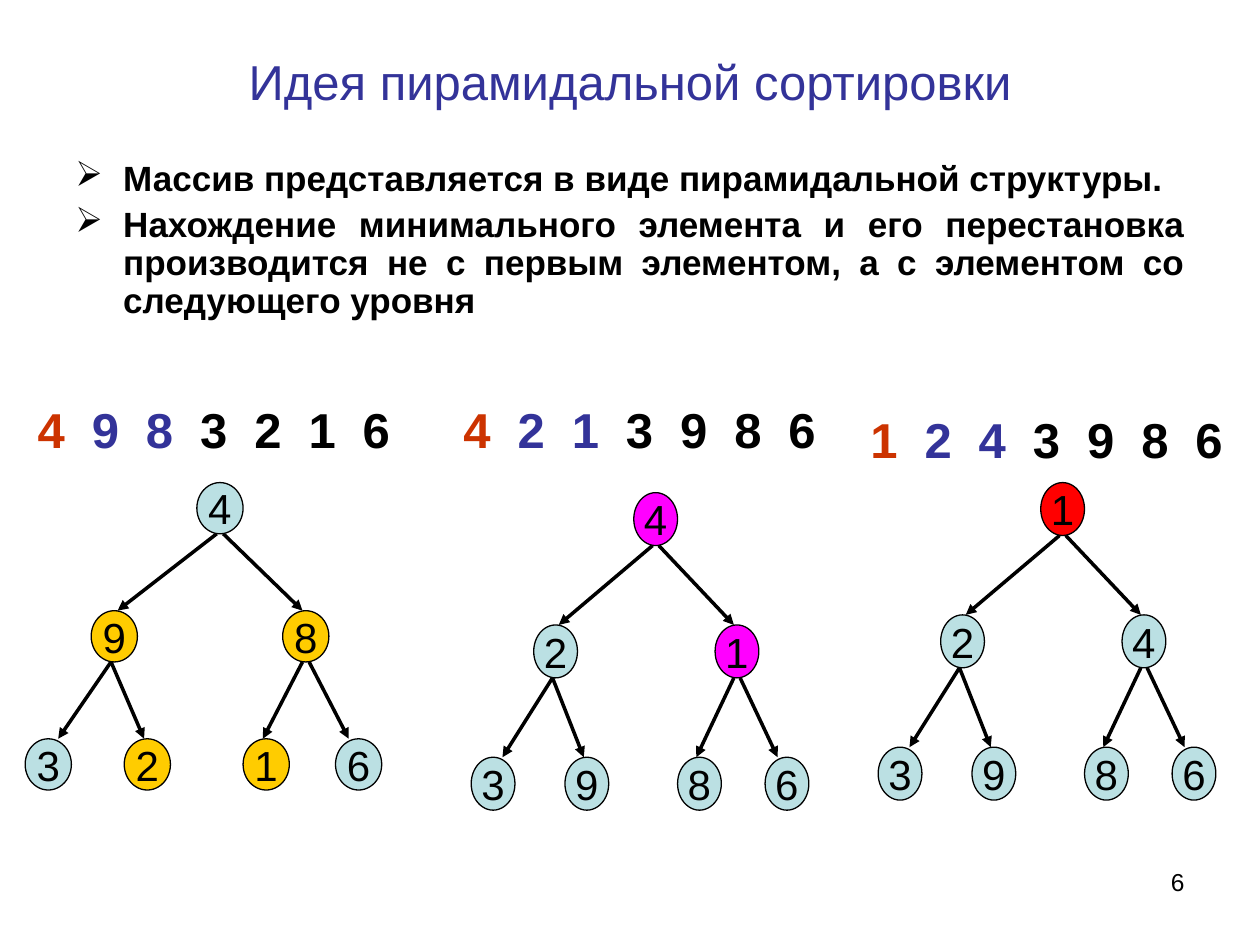
from lxml import etree
from pptx import Presentation
from pptx.dml.color import RGBColor
from pptx.enum.shapes import MSO_CONNECTOR, MSO_SHAPE
from pptx.enum.text import MSO_ANCHOR, PP_ALIGN
from pptx.oxml.ns import qn
from pptx.util import Inches, Pt

OVAL, STRAIGHT = MSO_SHAPE.OVAL, MSO_CONNECTOR.STRAIGHT
LEFT, CENTER, RIGHT, JUSTIFY = PP_ALIGN.LEFT, PP_ALIGN.CENTER, PP_ALIGN.RIGHT, PP_ALIGN.JUSTIFY
TOP, MIDDLE = MSO_ANCHOR.TOP, MSO_ANCHOR.MIDDLE

BLACK, BLUE, ORANGE = "000000", "333399", "CC3300"
PALE, YELLOW, PINK, RED = "BBE0E3", "FFCC00", "FF00FF", "FF0000"

# Tree grid: 54 columns by 6 rows, a node spans 7 by 1
COLS, ROWS, NODE_COLS = 54, 6, 7
# Nodes in heap order: left column, top row
NODES = [(26, 0), (10, 2.5), (39, 2.5), (0, 5), (15, 5), (33, 5), (47, 5)]
# Arrows to nodes 1 to 6: start column, end column
ARROWS = [(29, 14), (30, 42), (13, 5), (13, 18), (42, 36), (43, 49)]
DIGIT_PITCH = 0.43

# Row box, tree box, digits, root colour and other node colours
STAGES = [
    ((0.2, 3.12, 3.15, 0.57), (0.2, 3.83, 2.83, 2.44), "4983216",
     [PALE, YELLOW, YELLOW, PALE, YELLOW, YELLOW, PALE]),
    ((3.58, 3.12, 3.07, 0.57), (3.74, 3.91, 2.68, 2.52), "4213986",
     [PINK, PALE, PINK] + [PALE] * 4),
    ((6.81, 3.2, 3.07, 0.57), (6.97, 3.83, 2.68, 2.52), "1243986",
     [RED] + [PALE] * 6),
]


def rgb(value):
    return RGBColor.from_string(value)


def inches(*values):
    return [Inches(v) for v in values]


def add_text(p, text, size=24, color=BLACK, bold=False, align=LEFT):
    p.alignment = align
    r = p.add_run()
    r.text = text
    r.font.name, r.font.size, r.font.bold = "Arial", Pt(size), bold
    r.font.color.rgb = rgb(color)


def set_frame(sp, wrap=True, anchor=TOP):
    tf = sp.text_frame
    tf.word_wrap, tf.vertical_anchor = wrap, anchor
    return tf


def add_box(slide, box):
    return set_frame(slide.shapes.add_textbox(*inches(*box)))


def add_title(slide, box, text):
    sp = slide.shapes.title
    sp.left, sp.top, sp.width, sp.height = inches(*box)
    tf = set_frame(sp, anchor=MIDDLE)
    add_text(tf.paragraphs[0], text, size=28, color=BLUE, align=CENTER)


def add_bullets(slide, box, lines):
    tf = add_box(slide, box)
    for i, line in enumerate(lines):
        p = tf.add_paragraph() if i else tf.paragraphs[0]
        p.line_spacing = 0.9
        if i:
            p.space_before = Pt(5)
        pPr = p._p.get_or_add_pPr()
        pPr.set("marL", str(Inches(0.38)))
        pPr.set("indent", str(-Inches(0.38)))
        color = etree.SubElement(pPr, qn("a:buClr"))
        etree.SubElement(color, qn("a:srgbClr"), val=BLACK)
        etree.SubElement(pPr, qn("a:buChar"), char="➢")
        add_text(p, line, size=20, bold=True, align=JUSTIFY)


def add_array(slide, box, digits):
    p = add_box(slide, box).paragraphs[0]
    tabs = etree.SubElement(p._p.get_or_add_pPr(), qn("a:tabLst"))
    for i in range(1, len(digits)):
        etree.SubElement(tabs, qn("a:tab"), pos=str(Inches(DIGIT_PITCH * i)), algn="l")
    # Levels of the heap: root, its children, leaves
    for level, color in ((digits[:1], ORANGE), (digits[1:3], BLUE), (digits[3:], BLACK)):
        end = "" if color == BLACK else "\t"
        add_text(p, "\t".join(level) + end, size=28, color=color, bold=True)


def add_arrow(shapes, start, end):
    line = shapes.add_connector(STRAIGHT, *inches(*start, *end))
    line.line.color.rgb = rgb(BLACK)
    line.line.width = Pt(2)
    etree.SubElement(line.line._get_or_add_ln(), qn("a:tailEnd"), type="triangle")
    etree.SubElement(line._element.spPr, qn("a:effectLst"))


def add_node(shapes, box, digit, color):
    sp = shapes.add_shape(OVAL, *inches(*box))
    sp.shadow.inherit = False
    sp.fill.solid()
    sp.fill.fore_color.rgb = rgb(color)
    sp.line.color.rgb = rgb(BLACK)
    sp.line.width = Pt(0.75)
    tf = set_frame(sp, wrap=False, anchor=MIDDLE)
    add_text(tf.paragraphs[0], digit, align=CENTER)


def add_tree(slide, box, digits, colors):
    left, top, width, height = box
    col, row = width / COLS, height / ROWS
    shapes = slide.shapes.add_group_shape().shapes

    def at(c, r):
        return left + c * col, top + r * row

    for i, (start, end) in enumerate(ARROWS, 1):
        parent_row = NODES[(i - 1) // 2][1]
        add_arrow(shapes, at(start, parent_row + 1), at(end, NODES[i][1]))
    for node, digit, color in zip(NODES, digits, colors):
        add_node(shapes, (*at(*node), NODE_COLS * col, row), digit, color)


def main():
    prs = Presentation()
    prs.slide_width, prs.slide_height = inches(10, 7.5)
    slide = prs.slides.add_slide(prs.slide_layouts[5])

    # Heading and explanation
    add_title(slide, (0.5, 0.3, 9, 0.69), "Идея пирамидальной сортировки")
    add_bullets(slide, (0.5, 1.23, 9, 1.49), [
        "Массив представляется в виде пирамидальной структуры.",
        "Нахождение минимального элемента и его перестановка производится "
        "не с первым элементом, а с элементом со следующего уровня",
    ])

    # Three stages: array above its tree
    for array_box, tree_box, digits, colors in STAGES:
        add_array(slide, array_box, digits)
        add_tree(slide, tree_box, digits, colors)

    # Slide number
    add_text(add_box(slide, (7.17, 6.83, 2.33, 0.52)).paragraphs[0], "6", size=14, align=RIGHT)
    prs.save("out.pptx")


if __name__ == "__main__":
    main()
